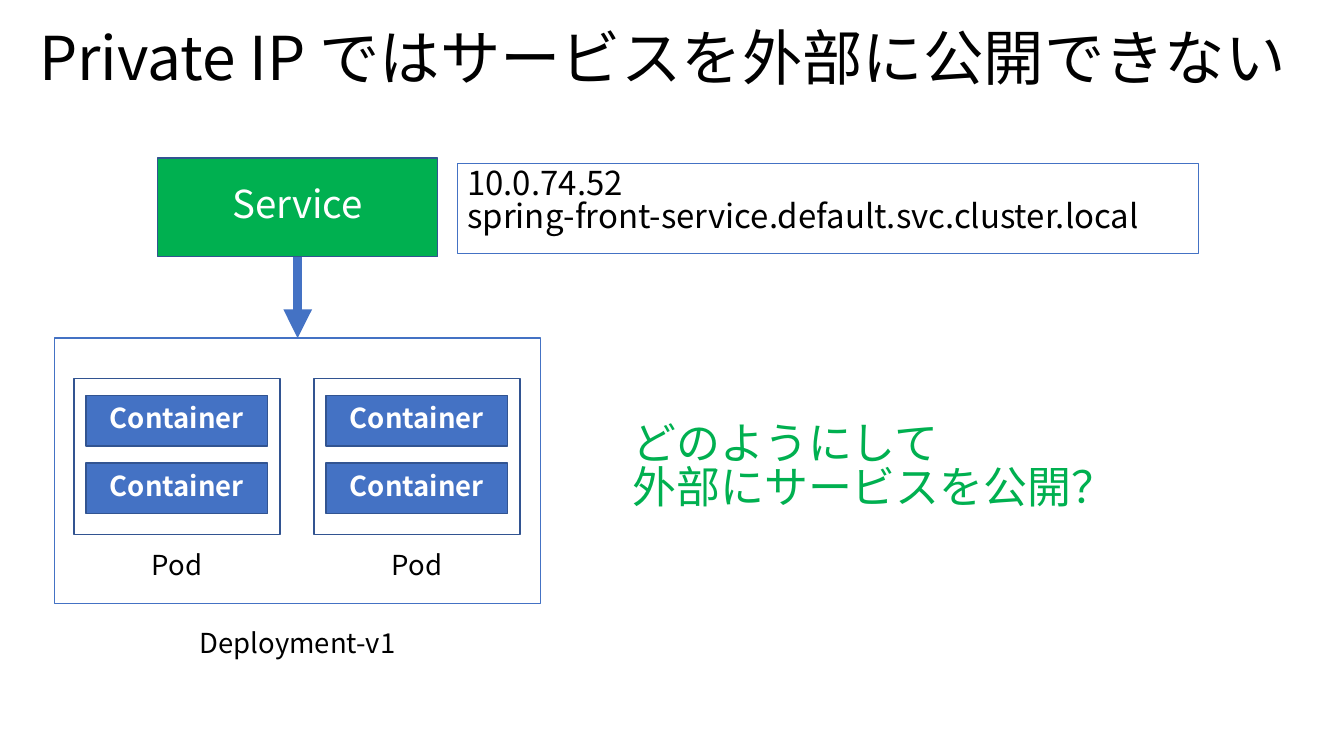
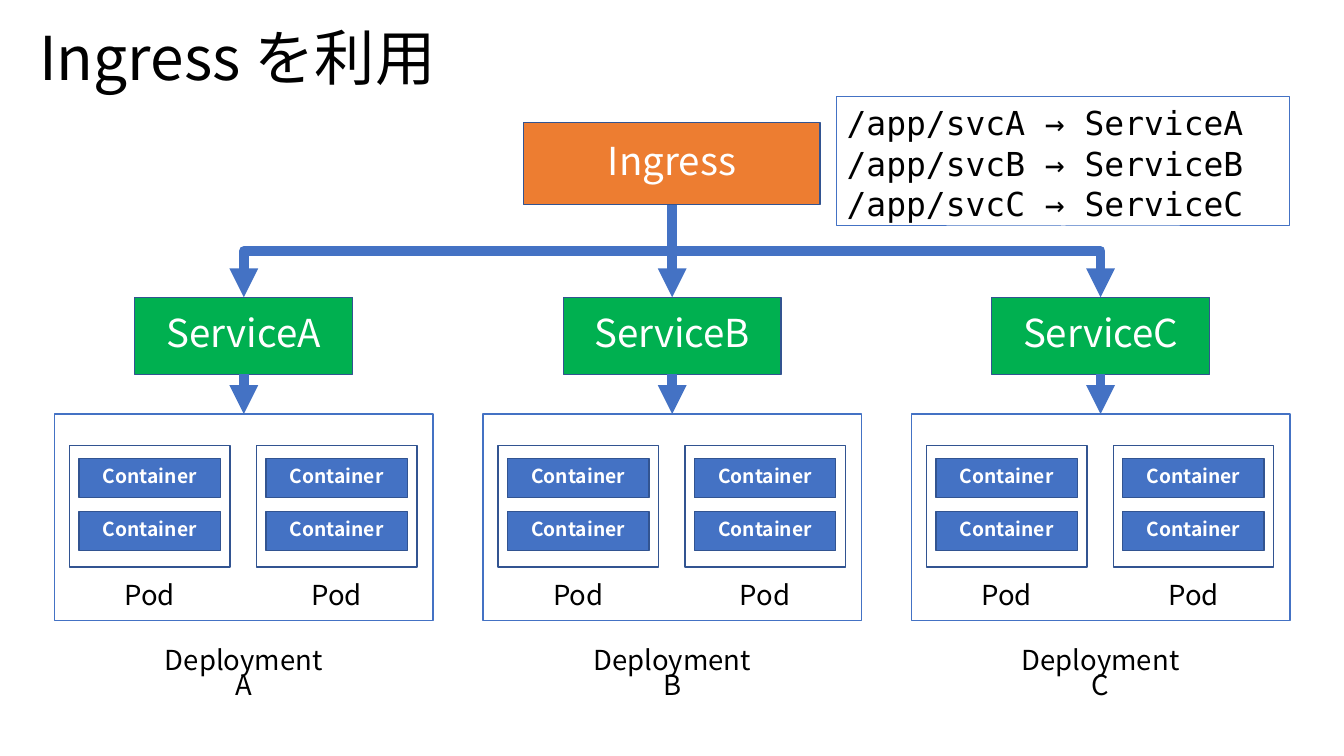
"""Build two slides on exposing a cluster service through an ingress."""
from lxml import etree
from pptx import Presentation
from pptx import util as u
from pptx.dml.color import RGBColor
from pptx.enum import shapes as kinds, text as layout
from pptx.oxml.ns import qn

COLOURS = {
    "black": "000000", "white": "FFFFFF", "blue": "4472C4",
    "navy": "325491", "green": "00B050", "orange": "ED7D31",
}
SANS, MONO = "Noto Sans CJK JP", "DejaVu Sans Mono"
NORMAL, TIGHT = 0.84, 0.76
TOP, MIDDLE = layout.MSO_ANCHOR.TOP, layout.MSO_ANCHOR.MIDDLE
LEFT, CENTER = layout.PP_ALIGN.LEFT, layout.PP_ALIGN.CENTER
LABEL_FRAME = {"margin_left": u.Cm(0.5), "margin_right": u.Cm(0.5),
               "margin_top": u.Cm(0.41), "margin_bottom": u.Cm(0.41)}
FRAME_WIDTH = 12.5


def colour(name):
    return RGBColor.from_string(COLOURS[name])


def apply(target, values):
    for name, value in values.items():
        setattr(target, name, value)


def write(box, lines, size, ink="black", face=SANS, bold=False, anchor=TOP,
          align=LEFT, spacing=NORMAL, after=0, frame=None):
    apply(box.text_frame, {"word_wrap": True, "vertical_anchor": anchor, **(frame or {})})
    for number, line in enumerate(lines):
        para = box.text_frame.paragraphs[0] if number == 0 else box.text_frame.add_paragraph()
        apply(para, {"alignment": align, "line_spacing": spacing, "space_after": u.Pt(after)})
        span = para.add_run()
        span.text = line
        apply(span.font, {"name": face, "size": u.Pt(size), "bold": bold})
        span.font.color.rgb = colour(ink)
        etree.SubElement(span.font._element, qn("a:ea"), typeface=face)


def add_text(host, area, lines, size, **style):
    box = host.add_textbox(*map(u.Cm, area))
    write(box, lines, size, **style)


def add_rect(host, area, fill=None, line="navy", weight=1):
    box = host.add_shape(kinds.MSO_SHAPE.RECTANGLE, *map(u.Cm, area))
    box.shadow.inherit = False
    if fill:
        box.fill.solid()
        box.fill.fore_color.rgb = colour(fill)
    else:
        box.fill.background()
    box.line.color.rgb = colour(line)
    box.line.width = u.Pt(weight)
    return box


def add_block(host, area, label, fill, size=28, bold=False):
    write(add_rect(host, area, fill), [label], size, ink="white", bold=bold,
          anchor=MIDDLE, align=CENTER)


def add_label(host, area, label):
    add_text(host, area, [label], 20, align=CENTER, spacing=TIGHT, after=6, frame=LABEL_FRAME)


def add_note(host, area, lines, face=SANS, spacing=NORMAL):
    write(add_rect(host, area, line="blue", weight=0.75), lines, 24, face=face, spacing=spacing)


def add_arrow(host, start, end):
    """Draw a thick arrow down, bent halfway when the ends are not aligned."""
    (x1, y1), (x2, y2) = start, end
    shift, drop = abs(x2 - x1), y2 - y1
    if shift:
        middle_x, middle_y = (x1 + x2) / 2, (y1 + y2) / 2
        reach = drop / 2 if x2 < x1 else -drop / 2
        points = (middle_x - reach, middle_y - shift / 2, middle_x + reach, middle_y + shift / 2)
        arrow = host.add_connector(kinds.MSO_CONNECTOR.ELBOW, *map(u.Cm, points))
        degrees = 90 if x2 < x1 else 270
        arrow._element.spPr.find(qn("a:xfrm")).set("rot", str(degrees * 60000))
    else:
        arrow = host.add_connector(kinds.MSO_CONNECTOR.STRAIGHT, *map(u.Cm, (x1, y1, x2, y2)))
    arrow.line.color.rgb = colour("blue")
    arrow.line.width = u.Pt(7)
    etree.SubElement(arrow.line._get_or_add_ln(), qn("a:tailEnd"), type="triangle")
    etree.SubElement(arrow._element.spPr, qn("a:effectLst"))


def add_pod(host, left, top, scale, size):
    add_rect(host, (left, top, 5.3 * scale, 4.01 * scale))
    for row in range(2):
        area = (left + 0.31 * scale, top + (0.43 + 1.74 * row) * scale, 4.67 * scale, 1.3 * scale)
        add_block(host, area, "Container", "blue", size, bold=True)
    add_label(host, (left, top + 4.22 * scale, 5.3 * scale, 1.6 * scale), "Pod")


def add_deployment(host, left, top, width, label, label_width, size):
    scale = width / FRAME_WIDTH
    for column in range(2):
        add_pod(host, left + (0.5 + 6.17 * column) * scale, top + 1.04 * scale, scale, size)
    add_rect(host, (left, top, width, 6.83 * scale), line="blue")
    label_left = left + (width - label_width) / 2
    add_label(host, (label_left, top + 7.28 * scale, label_width, 1.6), label)


def add_page(deck, title):
    page = deck.slides.add_slide(deck.slide_layouts[6])
    add_text(page.shapes, (0.76, 0.81, 33.02, 2.54), [title], 44, spacing=TIGHT)
    return page


def build_private_page(deck):
    page = add_page(deck, "Private IP ではサービスを外部に公開できない")
    left, top = 1.4, 8.69
    center = left + FRAME_WIDTH / 2
    group = page.shapes.add_group_shape()
    add_deployment(group.shapes, left, top, FRAME_WIDTH, "Deployment-v1", 6.35, 20)
    add_block(page.shapes, (center - 3.6, 4.06, 7.2, 2.54), "Service", "green")
    add_note(page.shapes, (11.76, 4.21, 19.05, 2.31),
             ["10.0.74.52", "spring-front-service.default.svc.cluster.local"])
    add_arrow(page.shapes, (center, 6.6), (center, top))
    add_text(page.shapes, (16, 10.77, 17.78, 3),
             ["どのようにして", "外部にサービスを公開？"], 32, ink="green")


def build_ingress_page(deck):
    page = add_page(deck, "Ingress を利用")
    left, top, width, pitch = 1.4, 10.64, 9.73, 11.01
    service_top, service_bottom = 7.64, 9.62
    hub = (left + pitch + width / 2, 5.26)
    add_block(page.shapes, (13.46, 3.15, 7.62, 2.11), "Ingress", "orange")
    for column, letter in enumerate("ABC"):
        frame_left = left + pitch * column
        center = frame_left + width / 2
        group = page.shapes.add_group_shape()
        add_deployment(group.shapes, frame_left, top, width, f"Deployment{letter}", 5.28, 14)
        add_block(group.shapes, (center - 2.8, service_top, 5.6, service_bottom - service_top),
                  f"Service{letter}", "green")
        add_arrow(group.shapes, (center, service_bottom), (center, top))
        add_arrow(page.shapes, hub, (center, service_top))
    routes = [f"/app/svc{letter} → Service{letter}" for letter in "ABC"]
    add_note(page.shapes, (21.51, 2.48, 11.63, 3.33), routes, face=MONO, spacing=1.03)


def main():
    deck = Presentation()
    apply(deck, {"slide_width": u.Cm(34.54), "slide_height": u.Cm(19.43)})
    build_private_page(deck)
    build_ingress_page(deck)
    deck.save("out.pptx")


if __name__ == "__main__":
    main()
